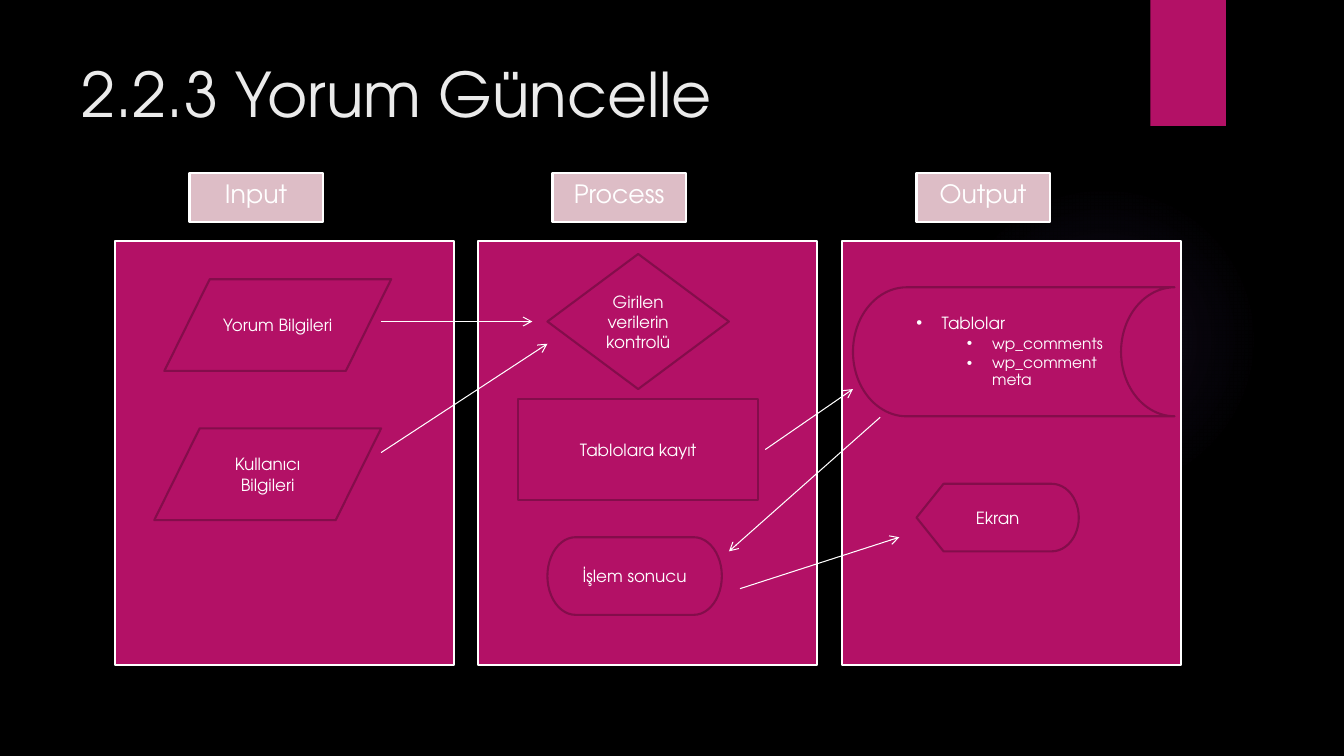
from dataclasses import dataclass

from lxml import etree
from pptx import Presentation
from pptx.dml.color import RGBColor
from pptx.enum.shapes import MSO_CONNECTOR, MSO_SHAPE
from pptx.enum.text import MSO_ANCHOR, MSO_AUTO_SIZE, PP_ALIGN
from pptx.oxml import parse_xml
from pptx.oxml.ns import qn
from pptx.util import Pt

EMU_PER_PX = 9144
DRAWING_NS = "http://schemas.openxmlformats.org/drawingml/2006/main"
TITLE_ONLY = 5

RECTANGLE = MSO_SHAPE.RECTANGLE
OVAL = MSO_SHAPE.OVAL
DATA = MSO_SHAPE.FLOWCHART_DATA
DECISION = MSO_SHAPE.FLOWCHART_DECISION
TERMINATOR = MSO_SHAPE.FLOWCHART_TERMINATOR
STORAGE = MSO_SHAPE.FLOWCHART_STORED_DATA
DISPLAY = MSO_SHAPE.FLOWCHART_DISPLAY
STRAIGHT = MSO_CONNECTOR.STRAIGHT
TOP, MIDDLE = MSO_ANCHOR.TOP, MSO_ANCHOR.MIDDLE
LEFT, CENTER = PP_ALIGN.LEFT, PP_ALIGN.CENTER
NO_AUTOFIT = MSO_AUTO_SIZE.NONE


@dataclass(frozen=True)
class Theme:
    font: str = "TeX Gyre Adventor"
    background: str = "000000"
    title: str = "EBEBEB"
    accent: str = "B31166"
    outline: str = "840D4B"
    label: str = "DDBDC6"
    white: str = "FFFFFF"
    glow: str = "9B6BF2"
    title_size: int = 44
    label_size: int = 18
    node_size: int = 12
    item_size: int = 11
    border_width: float = 1.5
    arrow_width: float = 0.75


THEME = Theme()

COLUMNS = ["Input", "Process", "Output"]

NODES = [
    (DATA, (163, 277, 225, 91), "Yorum Bilgileri"),
    (DATA, (153, 425, 225, 91), "Kullanıcı Bilgileri"),
    (DECISION, (543, 252, 180, 134), "Girilen verilerin kontrolü"),
    (RECTANGLE, (514, 396, 238, 100), "Tablolara kayıt"),
    (TERMINATOR, (543, 533, 173, 77), "İşlem sonucu"),
    (DISPLAY, (909, 480, 161, 67), "Ekran"),
]

TABLES = [
    ("Tablolar", 1, 25, THEME.node_size),
    ("wp_comments", 2, 75, THEME.item_size),
    ("wp_commentmeta", 2, 75, THEME.item_size),
]

ARROWS = [
    (378, 319, 528, 319),
    (378, 449, 543, 341),
    (759, 446, 846, 386),
    (873, 414, 723, 547),
    (734, 584, 892, 533),
]


def px(*lengths):
    return [length * EMU_PER_PX for length in lengths]


def apply(target, values):
    for name, value in values.items():
        setattr(target, name, value)


def add_box(slide, kind, box, fill, line=None):
    shape = slide.shapes.add_shape(kind, *px(*box))
    shape.shadow.inherit = False
    shape.fill.solid()
    shape.fill.fore_color.rgb = RGBColor.from_string(fill)
    if line:
        shape.line.color.rgb = RGBColor.from_string(line)
        shape.line.width = Pt(THEME.border_width)
    else:
        shape.line.fill.background()
    return shape


def write(paragraph, text, size, color=THEME.white, alignment=CENTER):
    paragraph.alignment = alignment
    run = paragraph.add_run()
    run.text = text
    apply(run.font, {"name": THEME.font, "size": Pt(size)})
    run.font.color.rgb = RGBColor.from_string(color)


def add_label(shape, text, size, anchor):
    frame = shape.text_frame
    apply(frame, {"word_wrap": True, "vertical_anchor": anchor})
    write(frame.paragraphs[0], text, size)


def add_title(slide, text):
    title = slide.shapes.title
    left, top, width, height = px(71, 50, 1029, 153)
    apply(title, {"left": left, "top": top, "width": width, "height": height})
    frame = title.text_frame
    apply(frame, {"word_wrap": True, "vertical_anchor": TOP, "auto_size": NO_AUTOFIT})
    write(frame.paragraphs[0], text, THEME.title_size, THEME.title, LEFT)


def add_glow(slide):
    shape = add_box(slide, OVAL, (941, 183, 308, 308), THEME.glow)
    stops = "".join(
        f'<a:gs pos="{position}000"><a:srgbClr val="{THEME.glow}">'
        f'<a:alpha val="{alpha}000"/></a:srgbClr></a:gs>'
        for position, alpha in [(0, 7), (36, 6), (69, 0)]
    )
    gradient = parse_xml(
        f'<a:gradFill xmlns:a="{DRAWING_NS}"><a:gsLst>{stops}</a:gsLst>'
        '<a:path path="circle">'
        '<a:fillToRect l="50000" t="50000" r="50000" b="50000"/>'
        "</a:path></a:gradFill>"
    )
    properties = shape.element.spPr
    properties.replace(properties.find(qn("a:solidFill")), gradient)


def add_column(slide, index, heading):
    offset = index * 721 // 2
    add_box(slide, RECTANGLE, (114 + offset, 239, 336, 421), THEME.accent, THEME.white)
    label = add_box(slide, RECTANGLE, (188 + offset, 172, 132, 48), THEME.label, THEME.white)
    add_label(label, heading, THEME.label_size, TOP)


def add_node(slide, kind, box, text):
    shape = add_box(slide, kind, box, THEME.accent, THEME.outline)
    add_label(shape, text, THEME.node_size, MIDDLE)


def add_storage(slide, items):
    shape = add_box(slide, STORAGE, (846, 285, 319, 128), THEME.accent, THEME.outline)
    frame = shape.text_frame
    apply(frame, {"word_wrap": True, "vertical_anchor": MIDDLE})
    for index, (text, level, indent, size) in enumerate(items):
        paragraph = frame.add_paragraph() if index else frame.paragraphs[0]
        apply(paragraph, {"level": level, "line_spacing": 0.9, "space_after": Pt(2)})
        write(paragraph, text, size, alignment=LEFT)
        properties = paragraph._p.get_or_add_pPr()
        margin, hanging = px(indent, -25)
        properties.set("marL", str(margin))
        properties.set("indent", str(hanging))
        etree.SubElement(properties, qn("a:buFont"), typeface="Arial")
        etree.SubElement(properties, qn("a:buChar"), char="•")


def add_arrow(slide, ends):
    connector = slide.shapes.add_connector(STRAIGHT, *px(*ends))
    connector.line.color.rgb = RGBColor.from_string(THEME.white)
    connector.line.width = Pt(THEME.arrow_width)
    properties = connector.element.spPr
    line = properties.find(qn("a:ln"))
    etree.SubElement(line, qn("a:tailEnd"), type="arrow")
    etree.SubElement(properties, qn("a:effectLst"))


def main():
    presentation = Presentation()
    width, height = px(1333, 750)
    apply(presentation, {"slide_width": width, "slide_height": height})
    slide = presentation.slides.add_slide(presentation.slide_layouts[TITLE_ONLY])
    slide.background.fill.solid()
    slide.background.fill.fore_color.rgb = RGBColor.from_string(THEME.background)

    add_glow(slide)
    add_box(slide, RECTANGLE, (1141, 0, 75, 125), THEME.accent)
    add_title(slide, "2.2.3 Yorum Güncelle")
    for index, heading in enumerate(COLUMNS):
        add_column(slide, index, heading)
    for kind, box, text in NODES:
        add_node(slide, kind, box, text)
    add_storage(slide, TABLES)
    for ends in ARROWS:
        add_arrow(slide, ends)

    presentation.save("out.pptx")


if __name__ == "__main__":
    main()
